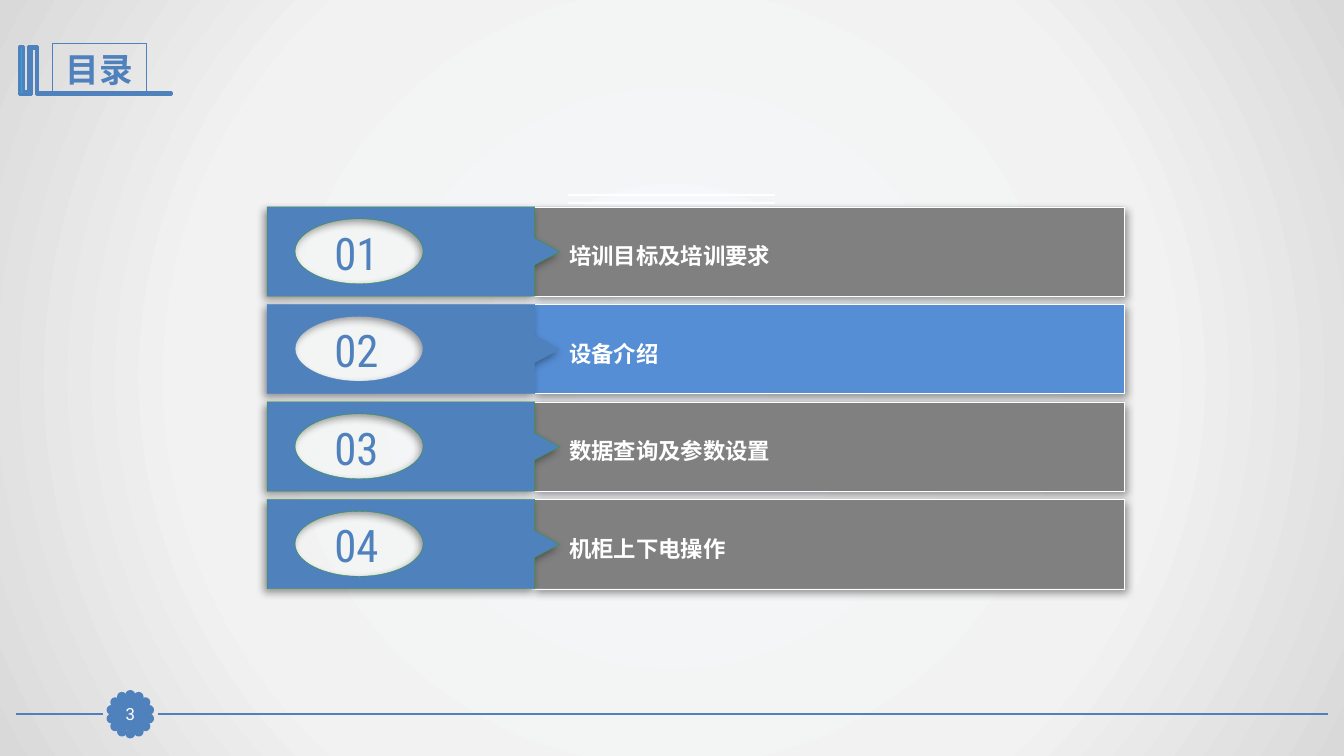
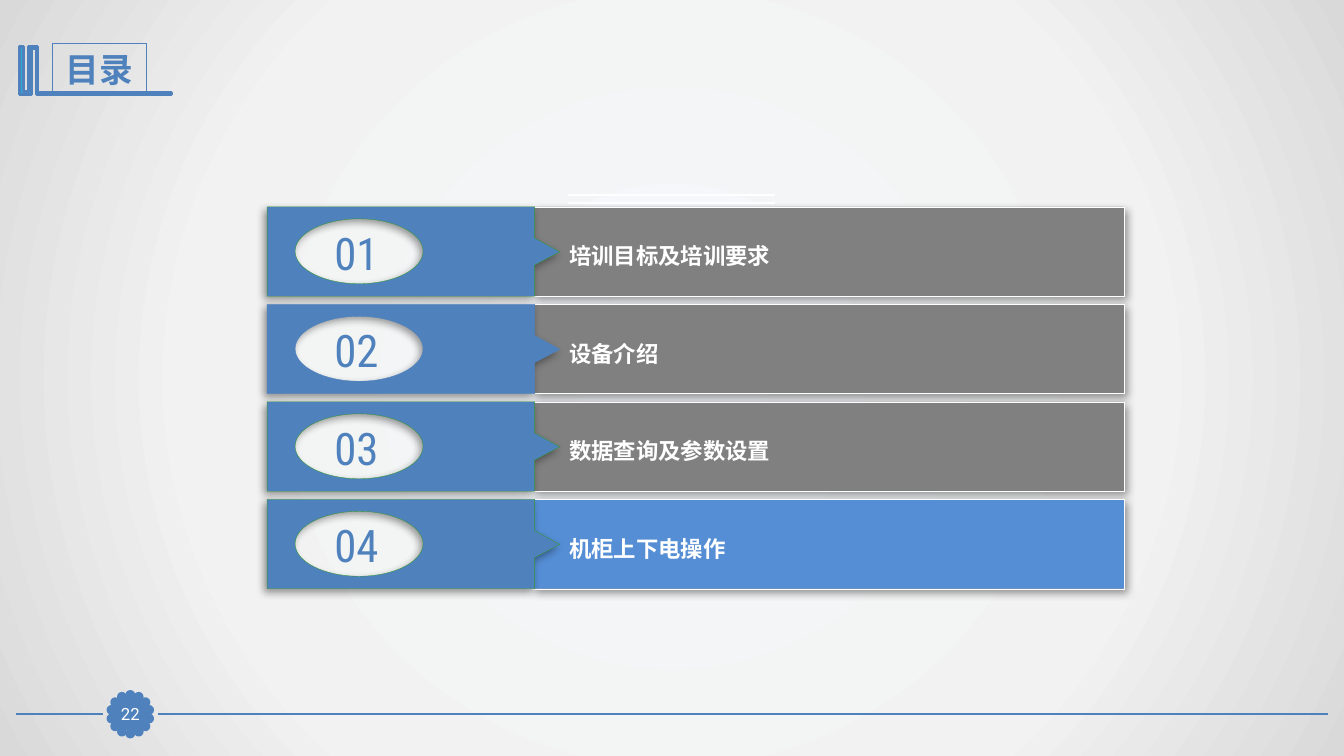
"""Build the two agenda slides of a training deck."""
import math

import lxml.etree
import pptx
import pptx.dml.color
import pptx.enum.lang
import pptx.enum.shapes
import pptx.enum.text
import pptx.oxml
import pptx.oxml.ns
import pptx.util

Pt = pptx.util.Pt
qn = pptx.oxml.ns.qn
PRESET = pptx.enum.shapes.MSO_SHAPE
ALIGN = pptx.enum.text.PP_ALIGN
ANCHOR = pptx.enum.text.MSO_ANCHOR
AUTOSIZE = pptx.enum.text.MSO_AUTO_SIZE
CHINESE = pptx.enum.lang.MSO_LANGUAGE_ID.SIMPLIFIED_CHINESE

COLORS = {
    "blue": "4F81BD",
    "active": "558ED5",
    "gray": "808080",
    "green": "339933",
    "cyan": "28A9D6",
    "white": "FFFFFF",
    "shadow": "000000",
    "bg_center": "F6F9FC",
    "bg_middle": "F2F2F2",
    "bg_edge": "D9D9D9",
}

INSETS = ("margin_left", "margin_right", "margin_top", "margin_bottom")
FORMATS = {
    "title": {
        "color": "blue",
        "font": {"size": Pt(24), "bold": True, "name": "Roboto Condensed", "language_id": CHINESE},
        "paragraph": {"alignment": ALIGN.CENTER},
        "frame": {"vertical_anchor": ANCHOR.MIDDLE, "auto_size": AUTOSIZE.NONE},
    },
    "page": {
        "color": "white",
        "font": {"size": Pt(12), "name": "Roboto"},
        "paragraph": {"alignment": ALIGN.CENTER},
        "frame": {"vertical_anchor": ANCHOR.MIDDLE, **dict.fromkeys(INSETS, 0)},
    },
    "number": {
        "color": "blue",
        "font": {"size": Pt(32), "name": "Roboto Condensed"},
        "paragraph": {"alignment": ALIGN.CENTER},
        "frame": {"vertical_anchor": ANCHOR.MIDDLE, "auto_size": AUTOSIZE.SHAPE_TO_FIT_TEXT},
    },
    "label": {
        "color": "white",
        "font": {"size": Pt(16), "bold": True, "name": "Noto Sans CJK SC", "language_id": CHINESE},
        "paragraph": {"alignment": ALIGN.LEFT},
        "frame": {"vertical_anchor": ANCHOR.TOP, "auto_size": AUTOSIZE.SHAPE_TO_FIT_TEXT},
    },
}

TITLE = "目录"
CHAPTERS = [
    ("培训目标及培训要求", "green"),
    ("设备介绍", "blue"),
    ("数据查询及参数设置", "green"),
    ("机柜上下电操作", "green"),
]
AGENDAS = [("3", 1), ("22", 3)]

ROW_TOP, ROW_PITCH, ROW_HEIGHT = 147.7, 69.65, 63.9
QUARTER_ARC = 0.55
BOOKMARK = [
    (26.6, 33.1), (27, 33.1), (27, 66.2), (122.8, 66.2), (122.8, 67.7),
    (25.9, 67.7), (25.9, 34.6), (22.3, 34.6), (22.3, 67.7), (13.7, 67.7),
    (13.7, 33.1), (16.6, 33.1), (16.6, 65.5), (20.2, 65.5), (20.2, 33.1),
]


def rgb(color):
    """Return the RGB value of a named colour."""
    return pptx.dml.color.RGBColor.from_string(COLORS[color])


def apply(target, values):
    """Set every attribute in values on target."""
    for attribute, value in values.items():
        setattr(target, attribute, value)


def write(shape, text, style):
    """Put one formatted run of text into a shape."""
    look = FORMATS[style]
    frame = shape.text_frame
    frame.word_wrap = True
    apply(frame, look["frame"])
    paragraph = frame.paragraphs[0]
    apply(paragraph, look["paragraph"])
    run = paragraph.add_run()
    run.text = text
    apply(run.font, look["font"])
    run.font.color.rgb = rgb(look["color"])
    east_asian = lxml.etree.SubElement(run.font._element, qn("a:ea"))
    east_asian.set("typeface", look["font"]["name"])


def paint(shape, fill, line, width):
    """Give a shape a plain fill and outline without a shadow."""
    shape.shadow.inherit = False
    shape.fill.solid()
    shape.fill.fore_color.rgb = rgb(fill)
    shape.line.color.rgb = rgb(line)
    shape.line.width = Pt(width)
    return shape


def cast_shadow(shape, angle):
    """Add a soft outer shadow that falls at an angle in degrees."""
    effects = shape._element.spPr.find(qn("a:effectLst"))
    shadow = lxml.etree.SubElement(effects, qn("a:outerShdw"), algn="ctr", rotWithShape="0")
    for key, value in {"blurRad": Pt(6), "dist": Pt(3), "dir": angle * 60000}.items():
        shadow.set(key, str(int(value)))
    tint = lxml.etree.SubElement(shadow, qn("a:srgbClr"), val=COLORS["shadow"])
    lxml.etree.SubElement(tint, qn("a:alpha"), val="40000")


def add_preset(shapes, preset, box, fill, line, width):
    """Add a painted preset shape at a box given in points."""
    return paint(shapes.add_shape(preset, *map(Pt, box)), fill, line, width)


def add_outline(shapes, contours, fill, line, width):
    """Add a painted freeform made of closed contours in points."""
    builder = None
    for contour in contours:
        start, *rest = [(Pt(x), Pt(y)) for x, y in contour]
        if builder is None:
            builder = shapes.build_freeform(*start)
        else:
            builder.move_to(*start)
        builder.add_line_segments(rest, close=True)
    return paint(builder.convert_to_shape(), fill, line, width)


def round_window(shape):
    """Turn the diamond that opens an outline into an ellipse of four curves."""
    segments = list(shape._element.find(".//" + qn("a:path")))
    corners = [(int(point.get("x")), int(point.get("y")))
               for segment in segments[:4] for point in segment]
    sides = zip(corners, corners[1:] + corners[:1], segments[1:5])
    for side, ((x1, y1), (x2, y2), segment) in enumerate(sides):
        dx, dy = (x2 - x1) * QUARTER_ARC, (y2 - y1) * QUARTER_ARC
        controls = [(x1, y1 + dy), (x2 - dx, y2)] if side % 2 else [(x1 + dx, y1), (x2, y2 - dy)]
        curve = lxml.etree.Element(qn("a:cubicBezTo"))
        for x, y in controls + [(x2, y2)]:
            lxml.etree.SubElement(curve, qn("a:pt"), x=str(round(x)), y=str(round(y)))
        segment.addprevious(curve)
        if side < 3:
            segment.getparent().remove(segment)


def add_rule(shapes, left, right, y, color, width):
    """Add a horizontal line."""
    rule = shapes.add_connector(
        pptx.enum.shapes.MSO_CONNECTOR.STRAIGHT, Pt(left), Pt(y), Pt(right), Pt(y))
    rule.line.color.rgb = rgb(color)
    rule.line.width = Pt(width)
    lxml.etree.SubElement(rule._element.spPr, qn("a:effectLst"))


def add_text(shapes, box, text, style):
    """Add a text box at a box given in points."""
    write(shapes.add_textbox(*map(Pt, box)), text, style)


def set_background(master):
    """Give the master a radial gradient background."""
    master.background.fill.solid()
    stops = "".join(
        f'<a:gs pos="{position * 1000}"><a:srgbClr val="{COLORS[color]}"/></a:gs>'
        for position, color in [(0, "bg_center"), (63, "bg_middle"), (100, "bg_edge")])
    gradient = pptx.oxml.parse_xml(
        '<a:gradFill xmlns:a="http://schemas.openxmlformats.org/drawingml/2006/main"'
        f' rotWithShape="1"><a:gsLst>{stops}</a:gsLst><a:path path="circle">'
        '<a:fillToRect l="50000" t="50000" r="50000" b="50000"/></a:path></a:gradFill>')
    properties = master.element.find(".//" + qn("p:bgPr"))
    properties.replace(properties[0], gradient)


def add_title(slide):
    """Place the framed title and its bookmark."""
    add_outline(slide.shapes, [BOOKMARK], "cyan", "blue", 2)
    title = slide.shapes.title
    apply(title, {"left": Pt(37.4), "top": Pt(31), "width": Pt(67), "height": Pt(36)})
    title.line.color.rgb = rgb("blue")
    title.line.width = Pt(0.75)
    write(title, TITLE, "title")


def add_footer(shapes, page):
    """Draw the footer line and the scalloped page badge."""
    center_x, center_y, radius, dot, petals = 93.1, 510.2, 13.8, 5, 14
    for left, right in [(11.2, 73.4), (112.6, 948.6)]:
        add_rule(shapes, left, right, center_y, "blue", 1.25)
    badge = shapes.add_group_shape().shapes
    for petal in range(petals):
        angle = math.tau * petal / petals
        x = center_x + radius * math.sin(angle) - dot / 2
        y = center_y - radius * math.cos(angle) - dot / 2
        add_preset(badge, PRESET.OVAL, (x, y, dot, dot), "blue", "blue", 2)
    plate = add_preset(shapes, PRESET.RECTANGLE, (81.6, 499, 23, 22.4), "blue", "blue", 0.75)
    write(plate, page, "page")


def add_chapter(shapes, index, label, edge, active):
    """Draw one agenda row: bar, pointed tab with oval window, number and label."""
    top = ROW_TOP + index * ROW_PITCH
    bottom = top + ROW_HEIGHT
    row = shapes.add_group_shape().shapes
    bar = add_preset(row, PRESET.RECTANGLE, (380.2, top, 422.6, ROW_HEIGHT),
                     "active" if active else "gray", "white", 0.25)
    cast_shadow(bar, 45)
    window = [(256.5, top + 8.6), (210.8, top + 31.8), (256.5, top + 55), (302.2, top + 31.8)]
    pointer = [(190.8, top), (381.9, top), (381.9, top + 22.3), (399.8, top + 32.2),
               (381.9, top + 41.7), (381.9, bottom), (190.8, bottom)]
    tab = add_outline(row, [window, pointer], "blue", edge, 0.25)
    round_window(tab)
    cast_shadow(tab, 135)
    add_text(row, (218.3, top + 9.6, 72.8, 46), f"{index + 1:02d}", "number")
    add_text(row, (399.5, top + 21.8, 403.8, 26.6), label, "label")


def add_agenda(deck, page, current):
    """Add an agenda slide with the current chapter highlighted."""
    slide = deck.slides.add_slide(deck.slide_layouts[5])
    add_title(slide)
    add_footer(slide.shapes, page)
    for y in (139.5, 145.1):
        add_rule(slide.shapes, 406, 553.7, y, "white", 1.5)
    for index, (label, edge) in enumerate(CHAPTERS):
        add_chapter(slide.shapes, index, label, edge, index == current)


def main():
    """Build and save the deck."""
    deck = pptx.Presentation()
    apply(deck, {"slide_width": Pt(960), "slide_height": Pt(540)})
    set_background(deck.slide_master)
    for page, current in AGENDAS:
        add_agenda(deck, page, current)
    deck.save("out.pptx")


if __name__ == "__main__":
    main()
